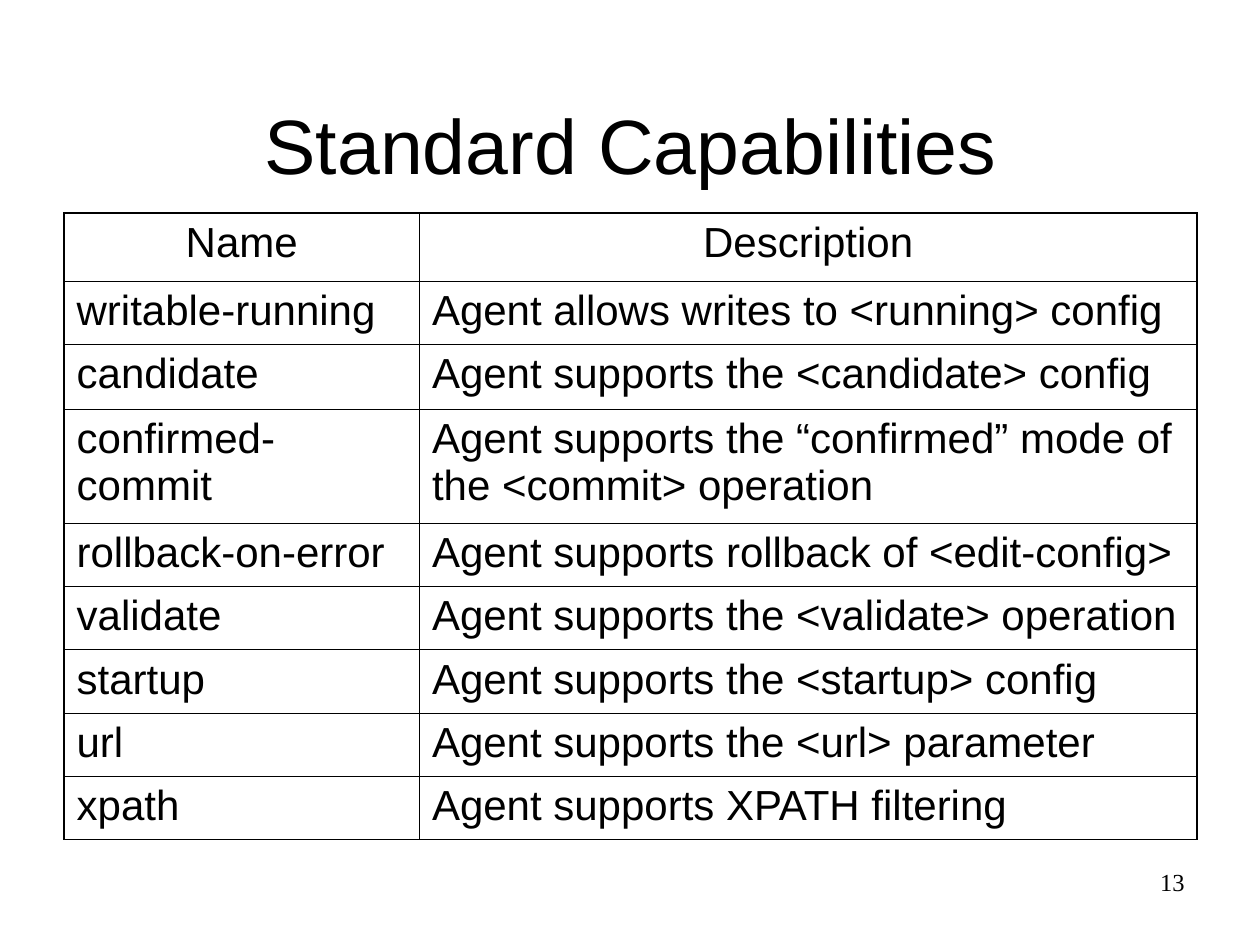
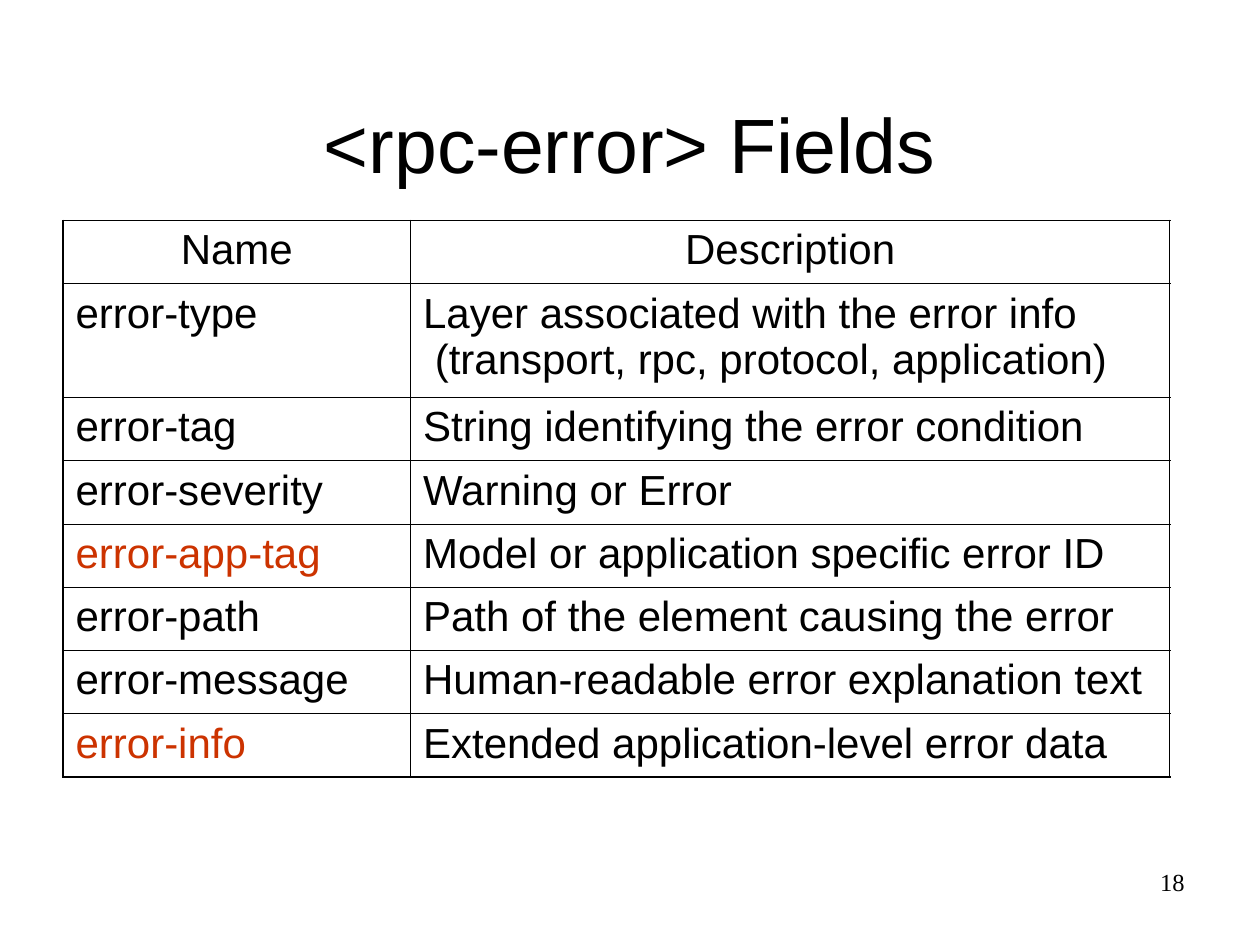
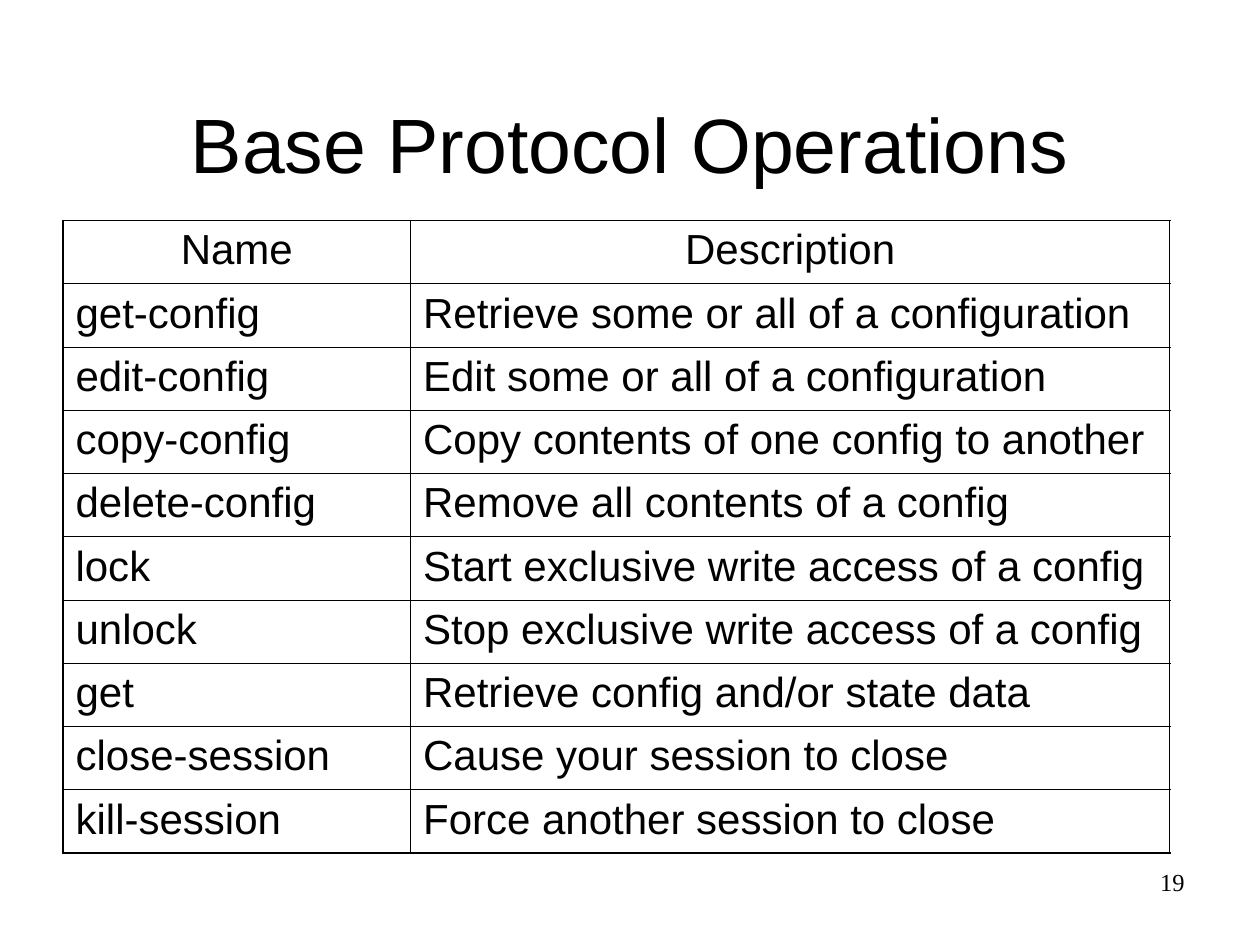
from dataclasses import dataclass

from lxml import etree
from pptx import Presentation
from pptx.dml.color import RGBColor
from pptx.enum.text import MSO_ANCHOR, PP_ALIGN
from pptx.oxml.ns import qn
from pptx.util import Length, Pt

LEFT, CENTER, RIGHT = PP_ALIGN.LEFT, PP_ALIGN.CENTER, PP_ALIGN.RIGHT
TOP, BOTTOM = MSO_ANCHOR.TOP, MSO_ANCHOR.BOTTOM

BLACK = RGBColor(0x00, 0x00, 0x00)
WHITE = RGBColor(0xFF, 0xFF, 0xFF)
HIGHLIGHT = RGBColor(0xCC, 0x33, 0x00)

BODY_FONT = "Arial"
NUMBER_FONT = "Times New Roman"

OUTER_LINE = Pt(1.08)
INNER_LINE = Pt(0.45)
ROW_HEIGHT = Pt(36.17)
TWO_LINE_HEIGHT = Pt(65)
INSET_X, INSET_Y = Pt(7.2), Pt(3.6)
HEADER = ("Name", "Description")


@dataclass(frozen=True)
class Entry:
    name: str
    description: str
    height: Length = ROW_HEIGHT
    name_color: RGBColor = BLACK


@dataclass(frozen=True)
class TableSlide:
    title: str
    number: int
    entries: tuple[Entry, ...]
    left: Length = Pt(36)
    title_top: Length = Pt(21.6)
    table_top: Length = Pt(126)
    column_widths: tuple[Length, Length] = (Pt(198.6), Pt(433.8))
    header_height: Length = ROW_HEIGHT


SLIDES = (
    TableSlide(
        "Standard Capabilities",
        13,
        (
            Entry("writable-running", "Agent allows writes to <running> config"),
            Entry("candidate", "Agent supports the <candidate> config", Pt(37.2)),
            Entry(
                "confirmed-commit",
                "Agent supports the “confirmed” mode of the <commit> operation",
                TWO_LINE_HEIGHT,
            ),
            Entry("rollback-on-error", "Agent supports rollback of <edit-config>"),
            Entry("validate", "Agent supports the <validate> operation"),
            Entry("startup", "Agent supports the <startup> config"),
            Entry("url", "Agent supports the <url> parameter"),
            Entry("xpath", "Agent supports XPATH filtering"),
        ),
        left=Pt(36.6),
        title_top=Pt(22.2),
        table_top=Pt(121.7),
        column_widths=(Pt(203.1), Pt(444.2)),
        header_height=Pt(39),
    ),
    TableSlide(
        "<rpc-error> Fields",
        18,
        (
            Entry(
                "error-type",
                "Layer associated with the error info\n (transport, rpc, protocol, application)",
                TWO_LINE_HEIGHT,
            ),
            Entry("error-tag", "String identifying the error condition"),
            Entry("error-severity", "Warning or Error"),
            Entry("error-app-tag", "Model or application specific error ID", name_color=HIGHLIGHT),
            Entry("error-path", "Path of the element causing the error"),
            Entry("error-message", "Human-readable error explanation text"),
            Entry("error-info", "Extended application-level error data", name_color=HIGHLIGHT),
        ),
    ),
    TableSlide(
        "Base Protocol Operations",
        19,
        (
            Entry("get-config", "Retrieve some or all of a configuration"),
            Entry("edit-config", "Edit some or all of a configuration"),
            Entry("copy-config", "Copy contents of one config to another"),
            Entry("delete-config", "Remove all contents of a config"),
            Entry("lock", "Start exclusive write access of a config"),
            Entry("unlock", "Stop exclusive write access of a config"),
            Entry("get", "Retrieve config and/or state data"),
            Entry("close-session", "Cause your session to close"),
            Entry("kill-session", "Force another session to close"),
        ),
    ),
)


def write_text(text_frame, text: str, *, size: float = 24, font: str = BODY_FONT,
               color: RGBColor = BLACK, align: PP_ALIGN = LEFT, space_before: float = 0) -> None:
    paragraph = text_frame.paragraphs[0]
    paragraph.text = text
    paragraph.alignment = align
    paragraph.space_before = Pt(space_before)
    for run in paragraph.runs:
        run.font.size = Pt(size)
        run.font.name = font
        run.font.color.rgb = color


def add_text_box(slide, text: str, left: Length, top: Length, width: Length, height: Length,
                 anchor: MSO_ANCHOR = TOP, **text_format) -> None:
    text_frame = slide.shapes.add_textbox(left, top, width, height).text_frame
    text_frame.word_wrap = True
    text_frame.vertical_anchor = anchor
    text_frame.margin_left = text_frame.margin_right = INSET_X
    text_frame.margin_top = text_frame.margin_bottom = INSET_Y
    write_text(text_frame, text, **text_format)


def set_borders(cell, outer_sides: dict[str, bool]) -> None:
    """Draw all four cell borders, heavier on the sides at the table's edge."""
    properties = cell._tc.get_or_add_tcPr()
    for side, is_outer in outer_sides.items():
        width = OUTER_LINE if is_outer else INNER_LINE
        line = etree.SubElement(properties, qn(f"a:ln{side}"), w=str(int(width)))
        fill = etree.SubElement(line, qn("a:solidFill"))
        etree.SubElement(fill, qn("a:srgbClr"), val=str(BLACK))


def format_cell(cell, outer_sides: dict[str, bool]) -> None:
    set_borders(cell, outer_sides)
    cell.fill.solid()
    cell.fill.fore_color.rgb = WHITE
    cell.margin_left = cell.margin_right = INSET_X
    cell.margin_top = cell.margin_bottom = INSET_Y
    cell.vertical_anchor = TOP


def add_entry_table(slide, content: TableSlide) -> None:
    rows = (Entry(*HEADER, height=content.header_height), *content.entries)
    last_row, last_column = len(rows) - 1, len(HEADER) - 1
    table = slide.shapes.add_table(
        len(rows), len(HEADER), content.left, content.table_top,
        sum(content.column_widths), sum(entry.height for entry in rows),
    ).table
    table.first_row = table.horz_banding = False
    for column, width in zip(table.columns, content.column_widths):
        column.width = width
    for row_index, entry in enumerate(rows):
        table.rows[row_index].height = entry.height
        texts = ((entry.name, entry.name_color), (entry.description, BLACK))
        for column_index, (text, color) in enumerate(texts):
            cell = table.cell(row_index, column_index)
            format_cell(cell, {
                "L": column_index == 0,
                "R": column_index == last_column,
                "T": row_index == 0,
                "B": row_index == last_row,
            })
            write_text(cell.text_frame, text, color=color, space_before=6,
                       align=CENTER if row_index == 0 else LEFT)


def add_table_slide(presentation, content: TableSlide) -> None:
    slide = presentation.slides.add_slide(presentation.slide_layouts[6])
    add_text_box(slide, content.title, content.left, content.title_top, Pt(648), Pt(90),
                 anchor=BOTTOM, size=44, align=CENTER)
    add_entry_table(slide, content)
    add_text_box(slide, str(content.number), Pt(516), Pt(492), Pt(168), Pt(37.5),
                 size=14, font=NUMBER_FONT, align=RIGHT)


def main() -> None:
    presentation = Presentation()
    presentation.slide_width, presentation.slide_height = Pt(720), Pt(540)
    for content in SLIDES:
        add_table_slide(presentation, content)
    presentation.save("out.pptx")


if __name__ == "__main__":
    main()
